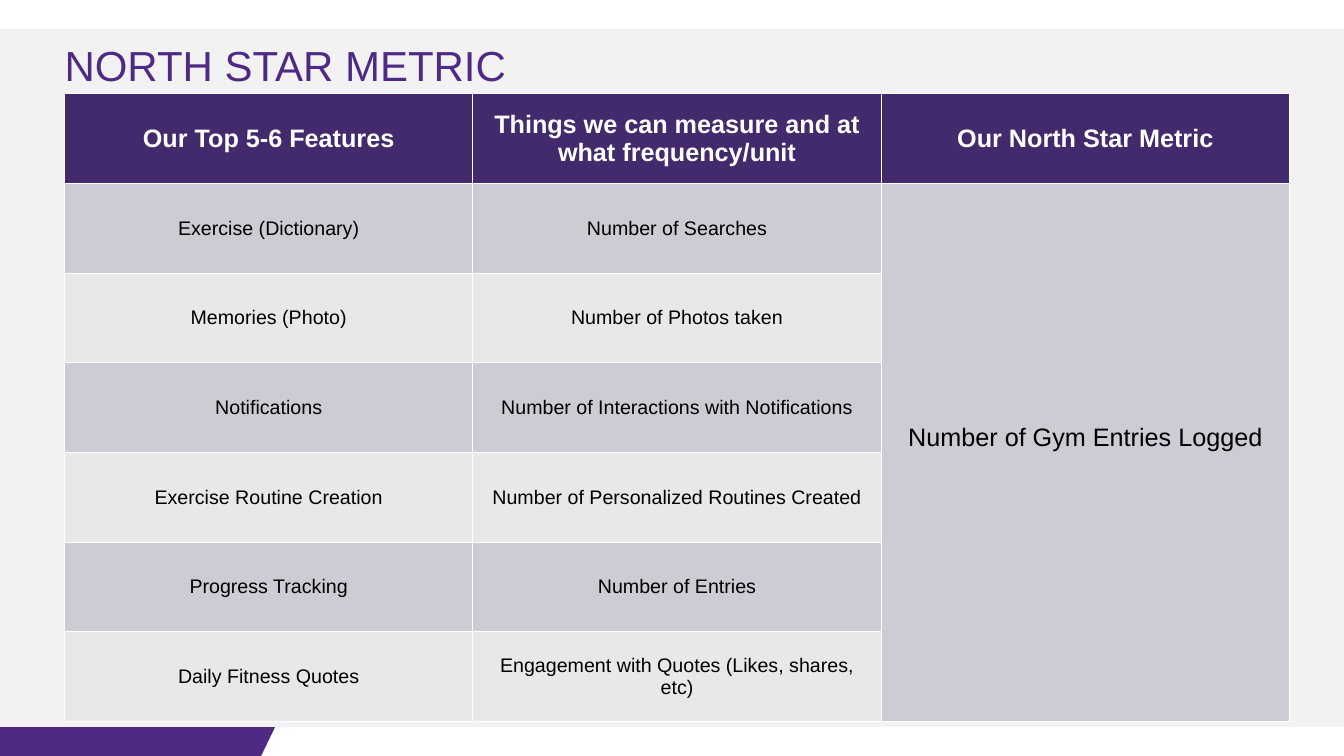
from pptx import Presentation
from pptx.dml.color import RGBColor
from pptx.enum import shapes, text
from pptx.util import Inches, Pt

FONT = "Arial"
COLORS = {
    "brand": "4E2A84",
    "header": "422A6C",
    "panel": "F2F2F2",
    "band_dark": "CDCBD3",
    "band_light": "E8E7EA",
    "white": "FFFFFF",
    "black": "000000",
}
HEADERS = [
    "Our Top 5-6 Features",
    "Things we can measure and at what frequency/unit",
    "Our North Star Metric",
]
FEATURES = [
    ("Exercise (Dictionary)", "Number of Searches"),
    ("Memories (Photo)", "Number of Photos taken"),
    ("Notifications", "Number of Interactions with Notifications"),
    ("Exercise Routine Creation", "Number of Personalized Routines Created"),
    ("Progress Tracking", "Number of Entries"),
    ("Daily Fitness Quotes", "Engagement with Quotes (Likes, shares, etc)"),
]
NORTH_STAR = "Number of Gym Entries Logged"


def color(name):
    return RGBColor.from_string(COLORS[name])


def fill_plain(shape, name):
    """Give a shape a flat fill without outline or shadow."""
    shape.fill.solid()
    shape.fill.fore_color.rgb = color(name)
    shape.line.fill.background()
    shape.shadow.inherit = False


def add_panel(slide, left, top, width, height):
    panel = slide.shapes.add_shape(
        shapes.MSO_SHAPE.RECTANGLE,
        Inches(left), Inches(top), Inches(width), Inches(height))
    fill_plain(panel, "panel")


def add_corner_tab(slide, left, top, width, height, slant=0.14):
    right, bottom = left + width, top + height
    corners = [(right, top), (right - slant, bottom), (left, bottom)]
    builder = slide.shapes.build_freeform(Inches(left), Inches(top))
    builder.add_line_segments([(Inches(x), Inches(y)) for x, y in corners])
    fill_plain(builder.convert_to_shape(), "brand")


def place_title(slide, wording, left, top, width, height):
    title = slide.shapes.title
    slide.shapes.element.append(title.element)  # bring in front of the panel
    title.left, title.top = Inches(left), Inches(top)
    title.width, title.height = Inches(width), Inches(height)
    frame = title.text_frame
    frame.text = wording
    frame.word_wrap = True
    frame.auto_size = text.MSO_AUTO_SIZE.NONE
    frame.vertical_anchor = text.MSO_ANCHOR.TOP
    frame.margin_left = frame.margin_right = frame.margin_bottom = 0
    frame.margin_top = Inches(0.05)
    paragraph = frame.paragraphs[0]
    paragraph.alignment = text.PP_ALIGN.LEFT
    paragraph.font.name = FONT
    paragraph.font.size = Pt(30)
    paragraph.font.color.rgb = color("brand")


def fill_cell(cell, wording, fill, size=14, font_color="black", bold=False):
    cell.text = wording
    cell.fill.solid()
    cell.fill.fore_color.rgb = color(fill)
    cell.vertical_anchor = text.MSO_ANCHOR.MIDDLE
    paragraph = cell.text_frame.paragraphs[0]
    paragraph.alignment = text.PP_ALIGN.CENTER
    paragraph.font.name = FONT
    paragraph.font.size = Pt(size)
    paragraph.font.bold = bold
    paragraph.font.color.rgb = color(font_color)


def add_metric_table(slide, left, top, width, height):
    """Add the table; its default style supplies the white cell borders."""
    table = slide.shapes.add_table(
        len(FEATURES) + 1, len(HEADERS),
        Inches(left), Inches(top), Inches(width), Inches(height)).table
    for column, header in enumerate(HEADERS):
        fill_cell(table.cell(0, column), header, "header", 18, "white", True)
    for row, feature in enumerate(FEATURES, start=1):
        band = "band_dark" if row % 2 else "band_light"
        for column, wording in enumerate(feature):
            fill_cell(table.cell(row, column), wording, band)

    last_column = len(HEADERS) - 1
    metric = table.cell(1, last_column)
    metric.merge(table.cell(len(FEATURES), last_column))
    fill_cell(metric, NORTH_STAR, "band_dark", 18)
    metric.margin_bottom = Inches(0.34)


def build_north_star_slide(presentation):
    slide = presentation.slides.add_slide(presentation.slide_layouts[5])
    slide.background.fill.solid()
    slide.background.fill.fore_color.rgb = color("white")
    add_corner_tab(slide, 0, 7.21, 2.73, 0.29)
    add_panel(slide, 0, 0.29, 13.33, 6.92)
    place_title(slide, "NORTH STAR METRIC", 0.64, 0.34, 12.15, 0.47)
    add_metric_table(slide, 0.64, 0.93, 12.15, 6.23)


def main():
    presentation = Presentation()
    presentation.slide_width = Inches(13.33)
    presentation.slide_height = Inches(7.5)
    build_north_star_slide(presentation)
    presentation.save("out.pptx")


if __name__ == "__main__":
    main()
